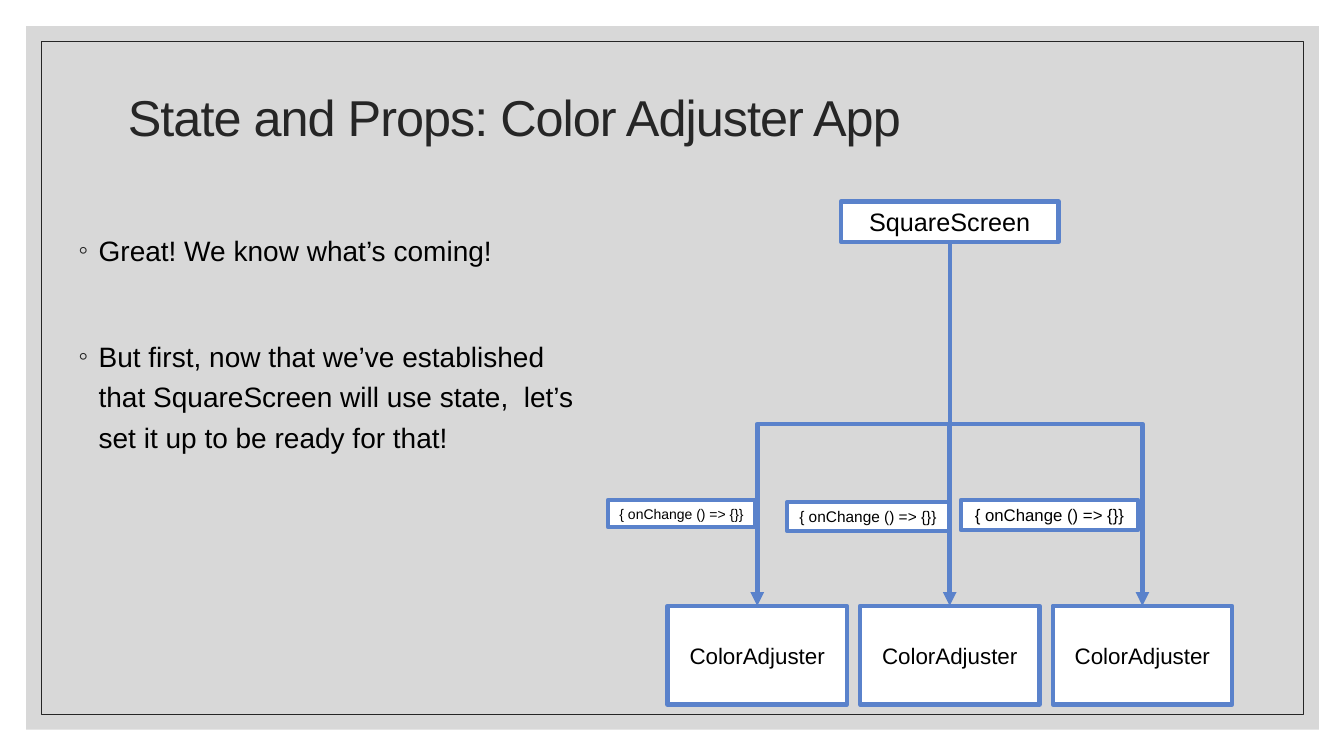
from dataclasses import dataclass

from lxml import etree
from pptx import Presentation
from pptx.dml.color import RGBColor
from pptx.enum.shapes import MSO_CONNECTOR as Link, MSO_SHAPE as Preset
from pptx.enum.text import MSO_ANCHOR as Anchor, PP_ALIGN as Align
from pptx.oxml.ns import qn
from pptx.util import Inches, Pt

FONT = "Arial"
BLUE, WHITE, BLACK, DARK, GREY = "5A82CB", "FFFFFF", "000000", "262626", "BFBFBF"
CHILD_LEFT, CHILD_PITCH = 6.62, 1.91


@dataclass
class Box:
    left: float
    top: float
    width: float
    height: float
    text: str = ""
    size: float = 18


TITLE = Box(1.17, 0.7, 11, 1.5, "State and Props: Color Adjuster App", 36)
BODY = Box(0.68, 2.2, 5.22, 4.78, size=20)
BULLETS = [
    "Great! We know what’s coming!",
    "But first, now that we’ve established that SquareScreen will use state,  "
    "let’s set it up to be ready for that!",
]
PARENT = Box(8.34, 2, 2.16, 0.4, "SquareScreen", 18)
CHILDREN = [
    Box(CHILD_LEFT + column * CHILD_PITCH, 6.01, 1.78, 0.98, "ColorAdjuster", 16)
    for column in range(3)
]
PROP_TEXT = "{ onChange () => {}}"
PROPS = [
    Box(6.03, 4.96, 1.46, 0.27, PROP_TEXT, 10),
    Box(7.81, 4.98, 1.6, 0.29, PROP_TEXT, 11),
    Box(9.53, 4.96, 1.76, 0.3, PROP_TEXT, 12),
]


def color(value: str) -> RGBColor:
    return RGBColor.from_string(value)


def place(box: Box) -> list[int]:
    return [Inches(side) for side in (box.left, box.top, box.width, box.height)]


def apply(target, formats: dict) -> None:
    for name, value in formats.items():
        setattr(target, name, value)


def add_span(para, text: str, size: float, shade: str = BLACK):
    span = para.add_run()
    span.text = text
    apply(span.font, {"name": FONT, "size": Pt(size)})
    span.font.color.rgb = color(shade)
    return span


def add_rectangle(page, box: Box, fill: str | None, line: str | None, weight: float = 3):
    shape = page.shapes.add_shape(Preset.RECTANGLE, *place(box))
    shape.shadow.inherit = False
    if fill:
        shape.fill.solid()
        shape.fill.fore_color.rgb = color(fill)
    else:
        shape.fill.background()
    if line:
        shape.line.color.rgb = color(line)
        shape.line.width = Pt(weight)
    else:
        shape.line.fill.background()
    return shape


def add_node(page, box: Box):
    """Draw a blue-edged white box with centred text."""
    shape = add_rectangle(page, box, WHITE, BLUE)
    margin = Inches(0.05)
    apply(shape.text_frame, {
        "word_wrap": True, "vertical_anchor": Anchor.MIDDLE,
        "margin_left": margin, "margin_right": margin,
        "margin_top": 0, "margin_bottom": 0,
    })
    para = shape.text_frame.paragraphs[0]
    para.alignment = Align.CENTER
    add_span(para, box.text, box.size)
    return shape


def add_branch(page, parent, child) -> None:
    """Link parent bottom to child top by an arrow that runs down, across, down."""
    branch = page.shapes.add_connector(Link.ELBOW, 0, 0, 0, 0)
    branch.begin_connect(parent, 2)
    branch.end_connect(child, 0)
    goes_right = branch.end_x > branch.begin_x
    across, down = branch.width, branch.height
    apply(branch, {
        "left": branch.left + (across - down) // 2,
        "top": branch.top + (down - across) // 2,
        "width": down, "height": across,
    })
    properties = branch._element.spPr
    frame = properties.find(qn("a:xfrm"))
    frame.set("rot", str((270 if goes_right else 90) * 60000))
    frame.set("flipH", "1" if goes_right else "0")
    frame.set("flipV", "0")
    branch.line.color.rgb = color(BLUE)
    branch.line.width = Pt(3.25)
    etree.SubElement(properties.find(qn("a:ln")), qn("a:tailEnd"), type="triangle")
    etree.SubElement(properties, qn("a:effectLst"))


def add_backdrop(page) -> None:
    panel = add_rectangle(page, Box(0.26, 0.26, 12.82, 6.98), GREY, None)
    shade = panel._element.spPr.find(qn("a:solidFill"))[0]
    etree.SubElement(shade, qn("a:alpha"), val="60000")
    add_rectangle(page, Box(0.41, 0.41, 12.52, 6.68), None, DARK, 0.5)


def add_title(page) -> None:
    frame = page.shapes.add_textbox(*place(TITLE)).text_frame
    apply(frame, {
        "word_wrap": True, "vertical_anchor": Anchor.MIDDLE,
        "margin_bottom": Inches(0.57),
    })
    para = frame.paragraphs[0]
    para.line_spacing = 0.9
    span = add_span(para, TITLE.text, TITLE.size, DARK)
    span.font._element.set("spc", "-70")


def add_bullets(page) -> None:
    frame = page.shapes.add_textbox(*place(BODY)).text_frame
    frame.word_wrap = True
    for index, text in enumerate(BULLETS):
        para = frame.add_paragraph() if index else frame.paragraphs[0]
        apply(para, {"line_spacing": 1.2, "space_before": Pt(47 if index else 0)})
        settings = para._p.get_or_add_pPr()
        settings.set("marL", str(Inches(0.2)))
        settings.set("indent", str(-Inches(0.2)))
        bullet_color = etree.SubElement(settings, qn("a:buClr"))
        etree.SubElement(bullet_color, qn("a:srgbClr"), val=DARK)
        etree.SubElement(settings, qn("a:buFont"), typeface=FONT)
        etree.SubElement(settings, qn("a:buChar"), char="◦")
        add_span(para, text, BODY.size)


def main() -> None:
    deck = Presentation()
    apply(deck, {"slide_width": Inches(13.33), "slide_height": Inches(7.5)})
    page = deck.slides.add_slide(deck.slide_layouts[6])
    add_backdrop(page)
    add_title(page)
    add_bullets(page)
    parent = add_node(page, PARENT)
    children = [add_node(page, box) for box in CHILDREN]
    for child in children:
        add_branch(page, parent, child)
    for box in PROPS:
        add_node(page, box)
    deck.save("out.pptx")


if __name__ == "__main__":
    main()
